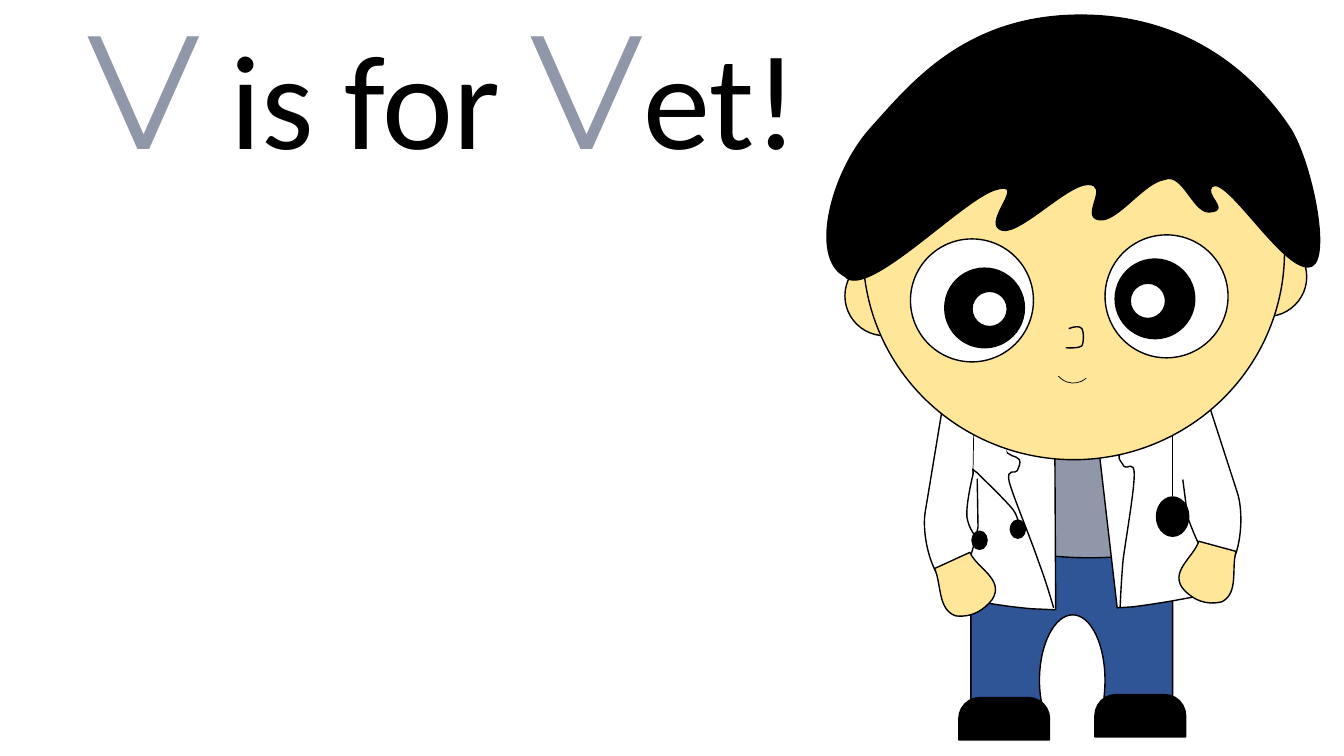
"""Builds the alphabet slide "V is for Vet!" with a cartoon vet."""
from dataclasses import dataclass
from math import cos, radians, sin

from lxml.etree import SubElement
from pptx import Presentation
from pptx.dml.color import RGBColor
from pptx.enum.shapes import MSO_CONNECTOR as Connector, MSO_SHAPE as Shape
from pptx.enum.text import MSO_ANCHOR as Anchor, MSO_AUTO_SIZE as AutoSize, PP_ALIGN as Align
from pptx.oxml.ns import qn
from pptx.util import Cm, Pt


@dataclass(frozen=True)
class Theme:
    black: str = "000000"
    white: str = "FFFFFF"
    skin: str = "FFE699"
    grey: str = "9097A9"
    jeans: str = "2F5597"
    letter_font: str = "Montserrat"
    word_font: str = "Calibri"
    letter_size: int = 115
    word_size: int = 96
    outline: float = 1
    thin: float = 0.5


def inch(value):
    return Cm(value * 2.54)


def add_run(paragraph, text, *, font, size, color):
    run = paragraph.add_run()
    run.text = text
    run.font.name = font
    run.font.size = Pt(size)
    run.font.color.rgb = RGBColor.from_string(color)


def pairs(segment):
    return list(zip(segment[::2], segment[1::2]))


def rotated(segments, degrees):
    c, s = cos(radians(degrees)), sin(radians(degrees))
    return [tuple(v for x, y in pairs(segment) for v in (x * c - y * s, x * s + y * c))
            for segment in segments]


def trace(segments, steps=16):
    points = []
    for segment in segments:
        if len(segment) == 2:
            points.append(segment)
            continue
        corners = [points[-1], *pairs(segment)]
        for t in (step / steps for step in range(1, steps + 1)):
            weights = ((1 - t) ** 3, 3 * t * (1 - t) ** 2, 3 * t * t * (1 - t), t ** 3)
            points.append(tuple(sum(w * v for w, v in zip(weights, axis))
                                for axis in zip(*corners)))
    return points


class Artist:
    """Holds the theme, the slide and the group that forms the vet."""

    def __init__(self, slide, theme):
        self.slide, self.theme, self.vet = slide, theme, None

    def title(self, box, runs):
        title = self.slide.shapes.title
        title.left, title.top, title.width, title.height = map(inch, box)
        frame = title.text_frame
        frame.word_wrap = True
        frame.auto_size = AutoSize.SHAPE_TO_FIT_TEXT
        frame.vertical_anchor = Anchor.TOP
        paragraph = frame.paragraphs[0]
        paragraph.alignment = Align.CENTER
        for text, style in runs:
            add_run(paragraph, text, **style)

    def start_vet(self):
        self.vet = self.slide.shapes.add_group_shape().shapes

    def finish(self, part, fill, weight):
        part.shadow.inherit = False
        if fill:
            part.fill.solid()
            part.fill.fore_color.rgb = RGBColor.from_string(fill)
        else:
            part.fill.background()
        if weight:
            part.line.width = Pt(weight)
            part.line.color.rgb = RGBColor.from_string(self.theme.black)
        else:
            part.line.fill.background()
        return part

    def preset(self, kind, box, fill, weight=Theme.outline):
        return self.finish(self.vet.add_shape(kind, *map(inch, box)), fill, weight)

    def disc(self, left, top, width, height, fill):
        self.preset(Shape.OVAL, (left, top, width, height), fill)

    def shoe(self, left, top):
        shoe = self.preset(Shape.ROUND_2_SAME_RECTANGLE, (left, top, 0.9, 0.42), self.theme.black)
        shoe.adjustments[0] = 0.5

    def outline(self, *segments, fill=None, weight=Theme.outline, turn=0):
        upright = rotated(segments, -turn)
        start, *rest = [(inch(x), inch(y)) for x, y in trace(upright)]
        pen = self.vet.build_freeform(*start)
        pen.add_line_segments(rest, close=False)
        part = self.finish(pen.convert_to_shape(), fill, weight)
        path = next(part._element.iter(qn("a:path")))
        for node in list(path):
            path.remove(node)
        for index, segment in enumerate(upright):
            tag = "a:cubicBezTo" if len(segment) == 6 else "a:lnTo" if index else "a:moveTo"
            node = SubElement(path, qn(tag))
            for x, y in pairs(segment):
                SubElement(node, qn("a:pt"), x=str(inch(x) - part.left), y=str(inch(y) - part.top))
        if fill:
            SubElement(path, qn("a:close"))
        center = (part.left + part.width / 2, part.top + part.height / 2)
        (x, y), = rotated([center], turn)
        part.left, part.top = round(x - part.width / 2), round(y - part.height / 2)
        part.rotation = turn

    def cord(self, *ends):
        cord = self.vet.add_connector(Connector.STRAIGHT, *map(inch, ends))
        cord.line.width = Pt(self.theme.thin)
        cord.line.color.rgb = RGBColor.from_string(self.theme.black)
        SubElement(cord._element.spPr, qn("a:effectLst"))


def draw_legs_and_coat(art, theme):
    art.outline((9.63, 5.34), (11.63, 5.34), (11.63, 7.08), (10.92, 7.08), (10.94, 7.01),
                (10.95, 6.93, 10.96, 6.84, 10.96, 6.75), (10.96, 6.39, 10.82, 6.1, 10.64, 6.1),
                (10.46, 6.1, 10.31, 6.39, 10.31, 6.75), (10.31, 6.84, 10.32, 6.93, 10.34, 7.01),
                (10.36, 7.08), (9.63, 7.08), (9.63, 5.34), fill=theme.jeans)
    art.shoe(9.51, 6.92)
    art.shoe(10.86, 6.89)
    art.outline((10.02, 4.4), (11.7, 4.21), (11.95, 5.41), (11.31, 5.51, 10.8, 5.61, 9.99, 5.45),
                (10.02, 4.4), fill=theme.grey)
    art.outline((11.83, 3.81), (12.19, 5.85), (11.86, 5.92, 11.55, 5.98, 11.23, 6.02),
                (11.08, 6.03), (10.84, 3.95), (11.83, 3.81), fill=theme.white, turn=176.5)
    art.outline((10.46, 4.01), (10.47, 6.05), (10.24, 6.04), (10, 6.02, 9.75, 5.98, 9.46, 5.92),
                (9.5, 4.14), (10.46, 4.01), fill=theme.white, turn=176.5)
    art.outline((10.03, 4.09), (9.99, 4.23, 9.96, 4.37, 9.97, 4.45),
                (9.98, 4.53, 10.09, 4.52, 10.11, 4.56), (10.13, 4.59, 10.1, 4.64, 10.09, 4.67),
                (10.07, 4.71, 9.98, 4.63, 10.01, 4.78), (10.05, 4.93, 10.23, 5.36, 10.3, 5.57),
                (10.38, 5.78, 10.45, 6.03, 10.45, 6.03), (10.45, 6.03))
    art.outline((11.07, 4.04), (11.14, 4.17, 11.21, 4.3, 11.22, 4.38),
                (11.22, 4.46, 11.11, 4.48, 11.1, 4.52), (11.09, 4.56, 11.13, 4.59, 11.15, 4.63),
                (11.18, 4.66, 11.25, 4.56, 11.25, 4.71), (11.25, 4.87, 11.17, 5.33, 11.14, 5.55),
                (11.12, 5.77, 11.11, 6.03, 11.11, 6.03), (11.11, 6.03), turn=347)


def draw_arms_and_stethoscope(art, theme):
    art.outline((11.62, 3.9), (11.78, 5.13), (12.18, 6.25, 12.4, 5.26, 12.27, 4.88),
                (11.95, 3.89), (11.62, 3.9), fill=theme.white, turn=268.1)
    art.outline((12.26, 5.47), (11.89, 5.37), (11.84, 5.53, 11.58, 5.68, 11.75, 5.86),
                (11.84, 5.95, 11.96, 6.01, 12.12, 5.97),
                (12.29, 5.88, 12.21, 5.64, 12.26, 5.47), fill=theme.skin, turn=16.1)
    art.outline((12.06, 4.6), (11.95, 4.23), (11.78, 4.28, 11.52, 4.13, 11.45, 4.37),
                (11.43, 4.5, 11.44, 4.63, 11.56, 4.74),
                (11.73, 4.84, 11.89, 4.65, 12.06, 4.6), fill=theme.white, weight=0, turn=73.7)
    art.disc(11.47, 4.93, 0.32, 0.39, theme.black)
    art.cord(11.63, 4.01, 11.63, 4.92)
    art.outline((9.68, 3.99), (9.7, 5.23), (9.46, 6.4, 9.1, 5.45, 9.18, 5.06),
                (9.35, 4.03), (9.68, 3.99), fill=theme.white, turn=83.6)
    hand = ((9.27, 5.64), (9.62, 5.48), (9.69, 5.64, 9.97, 5.75, 9.84, 5.95),
            (9.76, 6.05, 9.64, 6.13, 9.48, 6.11), (9.3, 6.05, 9.34, 5.8, 9.27, 5.64))
    for dx, dy, fill, weight in ((0, 0, theme.skin, theme.outline), (0.11, -1.36, theme.white, 0)):
        moved = [tuple(v for x, y in pairs(part) for v in (x + dx, y + dy)) for part in hand]
        art.outline(*moved, fill=fill, weight=weight, turn=335.6)
    art.cord(9.66, 4.15, 9.65, 4.71)
    art.outline((9.73, 5.38), (9.67, 5.32, 9.61, 5.25, 9.59, 5.13),
                (9.58, 5.02, 9.63, 4.79, 9.65, 4.71), (9.66, 4.64, 9.62, 4.64, 9.69, 4.69),
                (9.75, 4.75, 9.98, 4.97, 10.05, 5.06), (10.12, 5.16, 10.1, 5.26, 10.1, 5.26),
                (10.1, 5.26))
    for left, top in ((9.64, 5.27), (10.02, 5.16)):
        art.disc(left, top, 0.15, 0.18, theme.black)


def draw_head(art, theme):
    for left, top in ((12.17, 2.35), (8.38, 2.54)):
        art.disc(left, top, 0.79, 0.79, theme.skin)
    art.disc(8.56, 0.44, 4.18, 4.12, theme.skin)
    art.outline((8.63, 1.28), (9.02, 0.85, 9.56, 0.15, 10.72, 0.15),
                (11.87, 0.15, 12.51, 0.84, 12.8, 1.28), (13.01, 1.62, 13.2, 2.55, 13.01, 2.64),
                (12.76, 2.75, 12.17, 1.73, 12.02, 1.85), (11.94, 1.93, 12.19, 2.08, 12.02, 2.1),
                (11.84, 2.15, 11.74, 1.7, 11.55, 1.78), (11.34, 1.81, 11.08, 2.21, 10.9, 2.18),
                (10.71, 2.15, 11.02, 1.83, 10.79, 1.83), (10.57, 1.83, 10.06, 2.39, 9.91, 2.27),
                (9.77, 2.18, 10.19, 1.79, 9.88, 1.88), (9.56, 1.96, 8.59, 2.99, 8.38, 2.74),
                (8.03, 2.56, 8.24, 1.72, 8.63, 1.28), fill=theme.black)
    for left, top in ((10.96, 2.33), (9.03, 2.37)):
        art.disc(left, top, 1.22, 1.22, theme.white)
    art.outline((10.6, 3.26), (10.65, 3.24, 10.71, 3.23, 10.73, 3.26),
                (10.75, 3.29, 10.75, 3.4, 10.73, 3.43), (10.7, 3.46, 10.57, 3.45, 10.57, 3.45),
                (10.57, 3.45))
    art.preset(Shape.ARC, (10.45, 3.41, 0.39, 0.39), None, theme.thin).rotation = 139.2
    for size, fill, places in ((0.79, theme.black, ((11.06, 2.57), (9.37, 2.66))),
                               (0.35, theme.white, ((9.64, 2.89), (11.21, 2.81)))):
        for left, top in places:
            art.disc(left, top, size, size, fill)


def main():
    deck = Presentation()
    deck.slide_width, deck.slide_height = inch(13.33), inch(7.5)
    theme = Theme()
    art = Artist(deck.slides.add_slide(deck.slide_layouts[5]), theme)
    letter = dict(font=theme.letter_font, size=theme.letter_size, color=theme.grey)
    word = dict(font=theme.word_font, size=theme.word_size, color=theme.black)
    art.title((-0.12, -0.16, 9.33, 2.04),
              (("V", letter), (" is for ", word), ("V", letter), ("et! ", word)))
    art.start_vet()
    for draw in (draw_legs_and_coat, draw_arms_and_stethoscope, draw_head):
        draw(art, theme)
    deck.save("out.pptx")


if __name__ == "__main__":
    main()
